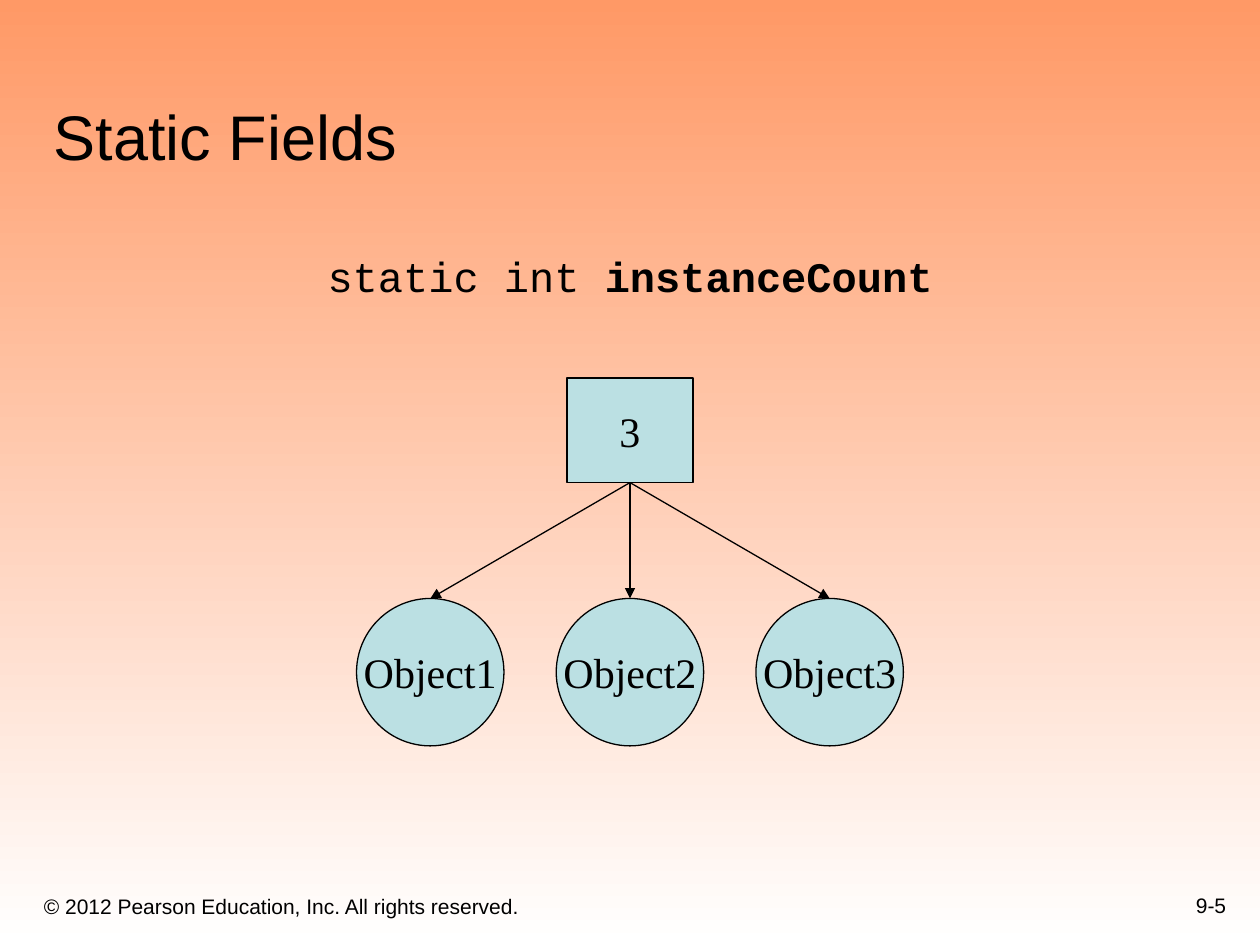
from dataclasses import dataclass

from lxml import etree
from pptx import Presentation
from pptx.dml.color import RGBColor
from pptx.enum.shapes import MSO_CONNECTOR, MSO_SHAPE
from pptx.enum.text import MSO_ANCHOR, PP_ALIGN
from pptx.oxml.ns import qn
from pptx.util import Inches, Pt

RECT, OVAL = MSO_SHAPE.RECTANGLE, MSO_SHAPE.OVAL
STRAIGHT = MSO_CONNECTOR.STRAIGHT
TOP, MIDDLE, BOTTOM = MSO_ANCHOR.TOP, MSO_ANCHOR.MIDDLE, MSO_ANCHOR.BOTTOM
LEFT, CENTER, RIGHT = PP_ALIGN.LEFT, PP_ALIGN.CENTER, PP_ALIGN.RIGHT
SITE_TOP, SITE_BOTTOM = 0, 2


@dataclass(frozen=True)
class Theme:
    ink: RGBColor = RGBColor(0, 0, 0)
    node: RGBColor = RGBColor(0xBB, 0xE0, 0xE3)
    sky: RGBColor = RGBColor(0xFF, 0x99, 0x66)
    ground: RGBColor = RGBColor(0xFF, 0xFF, 0xFF)
    sans: str = "Arial"
    mono: str = "Courier New"
    serif: str = "Times New Roman"
    title: int = 36
    body: int = 24
    footer: int = 12
    line: float = 0.75


THEME = Theme()


def write(sp, runs, font, size, align=LEFT, anchor=TOP, wrap=True):
    tf = sp.text_frame
    tf.word_wrap = wrap
    tf.vertical_anchor = anchor
    p = tf.paragraphs[0]
    p.alignment = align
    for text, bold in runs:
        r = p.add_run()
        r.text = text
        r.font.name = font
        r.font.size = Pt(size)
        r.font.bold = bold
        r.font.color.rgb = THEME.ink


def add_text(s, box, runs, font, size, **layout):
    sp = s.shapes.add_textbox(*map(Inches, box))
    write(sp, runs, font, size, **layout)


def add_node(s, kind, box, label):
    sp = s.shapes.add_shape(kind, *map(Inches, box))
    sp.shadow.inherit = False
    sp.fill.solid()
    sp.fill.fore_color.rgb = THEME.node
    sp.line.color.rgb = THEME.ink
    sp.line.width = Pt(THEME.line)
    write(sp, [(label, False)], THEME.serif, THEME.body, CENTER, MIDDLE, False)
    return sp


def add_arrow(s, start, end):
    cx = s.shapes.add_connector(STRAIGHT, 0, 0, 0, 0)
    cx.begin_connect(start, SITE_BOTTOM)
    cx.end_connect(end, SITE_TOP)
    cx.line.color.rgb = THEME.ink
    cx.line.width = Pt(THEME.line)
    ln = cx.line._get_or_add_ln()
    etree.SubElement(ln, qn("a:tailEnd"), type="triangle")
    etree.SubElement(cx._element.spPr, qn("a:effectLst"))


def paint_background(s):
    fill = s.background.fill
    fill.gradient()
    fill.gradient_angle = 270
    for stop, color, position in zip(
        fill.gradient_stops, (THEME.sky, THEME.ground), (0, 1)
    ):
        stop.color.rgb = color
        stop.position = position


def add_footer(s, left, top, width, height):
    add_text(s, (left, top + 0.09, 6.08, height - 0.08),
             [("© 2012 Pearson Education, Inc. All rights reserved.", False)],
             THEME.sans, THEME.footer, anchor=BOTTOM)
    number_width = 2.08
    add_text(s, (left + width - number_width, top, number_width, height),
             [("9-5", False)], THEME.sans, THEME.footer,
             align=RIGHT, anchor=BOTTOM)


def add_title(s, box, title):
    add_text(s, box, [(title, False)], THEME.sans, THEME.title, anchor=BOTTOM)


def add_field_diagram(s, left, top, width, height):
    center = left + width / 2
    caption_width, field_width, diameter = 5, 1, 1.17
    add_text(s, (center - caption_width / 2, top, caption_width, 0.5),
             [("static int ", False), ("instanceCount", True)],
             THEME.mono, THEME.body, align=CENTER, wrap=False)
    field = add_node(s, RECT, (center - field_width / 2, top + 1.06,
                               field_width, 0.83), "3")
    labels = ("Object1", "Object2", "Object3")
    step = (width - diameter) / (len(labels) - 1)
    objects = [
        add_node(s, OVAL, (left + i * step, top + height - diameter,
                           diameter, diameter), label)
        for i, label in enumerate(labels)
    ]
    for obj in objects:
        add_arrow(s, field, obj)


def main():
    prs = Presentation()
    prs.slide_width, prs.slide_height = Inches(10), Inches(7.5)
    s = prs.slides.add_slide(prs.slide_layouts[6])
    paint_background(s)
    add_footer(s, 0.25, 6.83, 9.58, 0.5)
    add_title(s, (0.33, 0.33, 9.42, 1.09), "Static Fields")
    add_field_diagram(s, 2.83, 1.94, 4.34, 3.98)
    prs.save("out.pptx")


if __name__ == "__main__":
    main()
